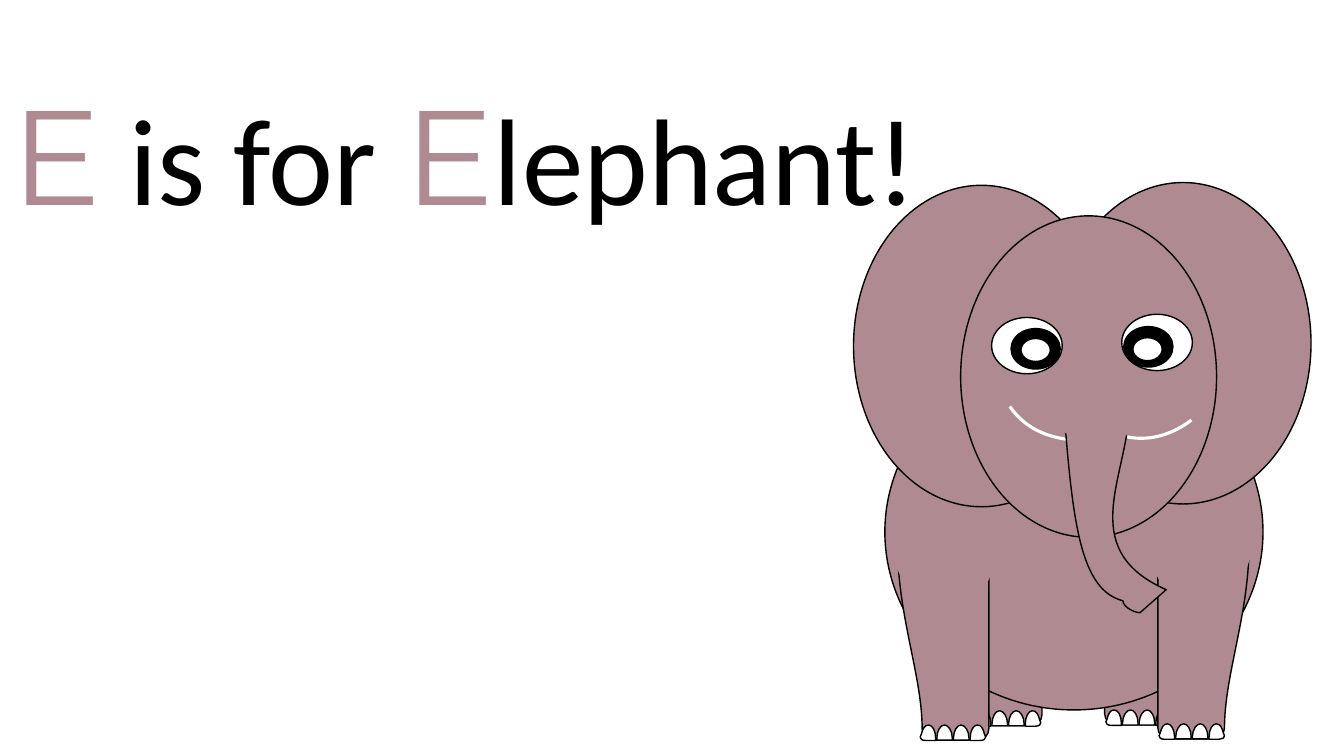
from dataclasses import dataclass

from lxml import etree
from pptx import Presentation
from pptx import util as u
from pptx.dml.color import RGBColor
from pptx.enum import shapes, text
from pptx.oxml import ns


@dataclass(frozen=True)
class Theme:
    skin: RGBColor = RGBColor(0xAF, 0x8B, 0x91)
    black: RGBColor = RGBColor(0, 0, 0)
    white: RGBColor = RGBColor(255, 255, 255)
    letter_font: str = "Montserrat"
    word_font: str = "Calibri"
    letter_size: int = 96
    word_size: int = 88
    outline: float = 1
    smile: float = 2.25


THEME = Theme()

LEG = [(0, 1.14), (0, 0.99, 0.13, 0.86, 0.28, 0.86), (1.4, 0.86),
       (1.55, 0.86, 2.06, -0.15, 2.06, 0),
       (2.77, 2.69, 1.68, 4.75, 1.68, 6.53),
       (1.68, 6.68, 1.55, 6.81, 1.4, 6.81), (0.28, 6.81),
       (0.13, 6.81, 0, 6.68, 0, 6.53)]
MIDDLE_TOE = [(0.2, 0), (0.1, 0, 0, 0.15, 0, 0.33), (0, 0.38), (0.39, 0.38),
              (0.39, 0.33), (0.39, 0.15, 0.3, 0, 0.2, 0)]
EDGE_TOE = [(0.18, 0), (0.28, 0, 0.33, 0.1, 0.36, 0.23), (0.39, 0.3), (0.36, 0.36),
            (0.33, 0.38, 0.31, 0.39, 0.25, 0.39), (0, 0.39), (0, 0.33),
            (0, 0.15, 0.08, 0, 0.18, 0)]
TRUNK = [(28.47, 10.16), (28.47, 10.01, 28.35, 9.88, 28.19, 9.88), (27.08, 9.88),
         (26.92, 9.88, 26.8, 10.01, 26.8, 10.16),
         (27.03, 13.21, 27.23, 14.86, 28.3, 15.14),
         (28.3, 15.29, 28.58, 15.44, 28.73, 15.44), (29.39, 14.86),
         (27.05, 13.82, 28.47, 11.96, 28.47, 10.16)]
TOE_COUNT, TOE_PITCH, TOE_WIDTH, TOE_TOP = 4, 0.42, 0.39, 6.43


def add_span(para, words, *, font, size, color):
    span = para.add_run()
    span.text = words
    span.font.name = font
    span.font.size = u.Pt(size)
    span.font.color.rgb = color


def add_title(page):
    box = page.shapes.title
    box.left, box.top, box.width, box.height = map(u.Cm, (-0.17, 1.67, 24.43, 4.37))
    frame = box.text_frame
    frame.word_wrap = True
    frame.auto_size = text.MSO_AUTO_SIZE.NONE
    frame.vertical_anchor = text.MSO_ANCHOR.TOP
    para = frame.paragraphs[0]
    para.alignment = text.PP_ALIGN.CENTER
    letter = dict(font=THEME.letter_font, size=THEME.letter_size, color=THEME.skin)
    word = dict(font=THEME.word_font, size=THEME.word_size, color=THEME.black)
    for words, style in (("E", letter), (" is for ", word),
                         ("E", letter), ("lephant! ", word)):
        add_span(para, words, **style)


def paint(shape, fill, line, width=THEME.outline):
    shape.shadow.inherit = False
    for part, color in ((shape.fill, fill), (shape.line.fill, line)):
        if color is None:
            part.background()
        else:
            part.solid()
            part.fore_color.rgb = color
    if line is not None:
        shape.line.width = u.Pt(width)


def add_oval(group, left, top, width, height, *, fill=THEME.skin, line=THEME.black, turn=0):
    oval = group.shapes.add_shape(shapes.MSO_SHAPE.OVAL,
                                  *map(u.Cm, (left, top, width, height)))
    oval.rotation = turn
    paint(oval, fill, line)


def add_smile(group, left, top, turn):
    arc = group.shapes.add_shape(shapes.MSO_SHAPE.ARC,
                                 *map(u.Cm, (left, top, 4.45, 5.82)))
    arc.adjustments[0], arc.adjustments[1] = 140.28, 162
    arc.rotation = turn
    paint(arc, None, THEME.white, THEME.smile)


def bend(segment, controls):
    segment.tag = ns.qn("a:cubicBezTo")
    for index, (x, y) in enumerate(controls):
        control = etree.Element(ns.qn("a:pt"), x=str(x), y=str(y))
        segment.insert(index, control)


def add_outline(group, outline, *, left=0, top=0, side=1, fill=THEME.skin):
    steps = [[(u.Cm(left + side * x), u.Cm(top + y)) for x, y in zip(step[::2], step[1::2])]
             for step in outline]
    builder = group.shapes.build_freeform(*steps[0][0])
    builder.add_line_segments([step[-1] for step in steps[1:]], close=True)
    shape = builder.convert_to_shape()
    for segment, step in zip(shape._element.xpath(".//a:lnTo"), steps[1:]):
        if len(step) == 3:
            bend(segment, [(x - shape.left, y - shape.top) for x, y in step[:2]])
    paint(shape, fill, THEME.black)


def add_leg(group, inner, top, side, toe_gap=0.03):
    add_outline(group, LEG, left=inner, top=top, side=side)
    for index in range(TOE_COUNT):
        start = toe_gap + index * TOE_PITCH
        toe, facing = MIDDLE_TOE, side
        if index == 0:
            toe, facing, start = EDGE_TOE, -side, start + TOE_WIDTH
        elif index == TOE_COUNT - 1:
            toe = EDGE_TOE
        add_outline(group, toe, left=inner + side * start, top=top + TOE_TOP,
                    side=facing, fill=THEME.white)


def add_eye(group, white, pupil, glint):
    add_oval(group, *white, 1.78, 1.42, fill=THEME.white)
    add_oval(group, *pupil, 1.24, 1.02, fill=THEME.black)
    add_oval(group, *glint, 0.74, 0.58, fill=THEME.white)


def add_elephant(page):
    group = page.shapes.add_group_shape()
    add_leg(group, 26.26, 11.48, -1)
    add_leg(group, 27.84, 11.46, 1)
    add_oval(group, 22.3, 8.92, 9.53, 8.97)
    add_leg(group, 24.92, 11.84, -1, toe_gap=0.08)
    add_oval(group, 22.4, 11.53, 2.69, 3.86, line=None, turn=351.3)
    add_leg(group, 29.18, 11.81, 1)
    add_oval(group, 28.93, 11.43, 2.69, 3.86, line=None, turn=3.6)
    for left, top in ((26.59, 4.6), (21.51, 4.67), (24.21, 5.44)):
        add_oval(group, left, top, 6.45, 8.1)
    add_eye(group, (24.99, 8), (25.48, 8.28), (25.73, 8.53))
    add_eye(group, (28.27, 7.92), (28.32, 8.23), (28.55, 8.51))
    add_smile(group, 25.65, 5.72, 236.4)
    add_smile(group, 26.82, 5.26, 194.1)
    add_outline(group, TRUNK)
    add_oval(group, 26.49, 9.47, 2.36, 1.65, line=THEME.skin)


def main():
    deck = Presentation()
    deck.slide_width, deck.slide_height = u.Cm(33.87), u.Cm(19.05)
    page = deck.slides.add_slide(deck.slide_layouts[5])
    add_title(page)
    add_elephant(page)
    deck.save("out.pptx")


if __name__ == "__main__":
    main()
